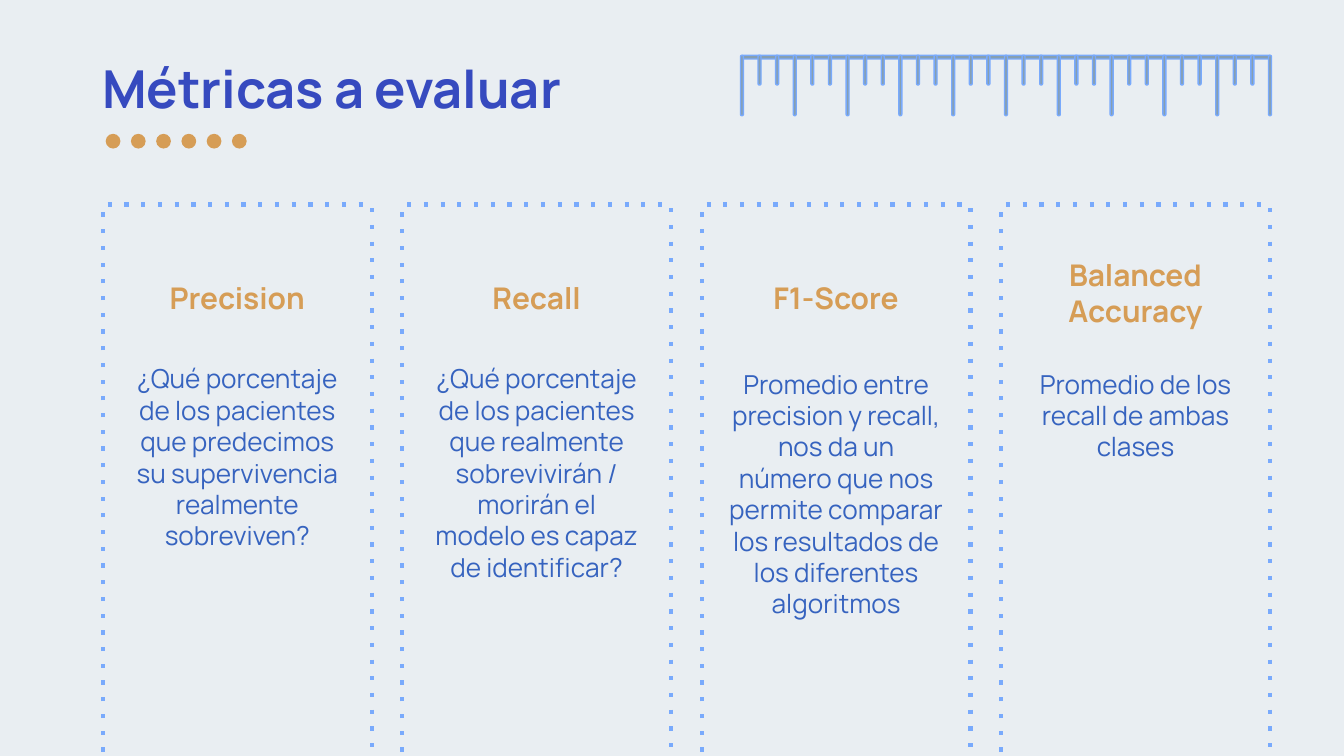
"""Build the "Métricas a evaluar" slide with four dotted metric cards."""
from dataclasses import dataclass

from pptx import Presentation
from pptx.dml.color import RGBColor
from pptx.enum.dml import MSO_LINE
from pptx.enum.shapes import MSO_SHAPE
from pptx.enum.text import MSO_ANCHOR, MSO_AUTO_SIZE, PP_ALIGN
from pptx.oxml.ns import qn
from pptx.util import Pt

RECT, OVAL, ROUNDED = MSO_SHAPE.RECTANGLE, MSO_SHAPE.OVAL, MSO_SHAPE.ROUNDED_RECTANGLE
LEFT, CENTER = PP_ALIGN.LEFT, PP_ALIGN.CENTER
TOP, NO_FIT, DOTTED = MSO_ANCHOR.TOP, MSO_AUTO_SIZE.NONE, MSO_LINE.ROUND_DOT


@dataclass(frozen=True)
class Theme:
    font: str = "Manrope"
    background: str = "E9EEF2"
    title: str = "364ABF"
    accent: str = "D69D56"
    body: str = "3663BF"
    outline: str = "79AAFC"
    ruler: str = "869FB1"
    title_size: float = 28
    heading_size: float = 16
    body_size: float = 14


theme = Theme()


def add_shape(shapes, kind, x, y, w, h, fill=None, line=None, weight=0.75):
    sp = shapes.add_shape(kind, Pt(x), Pt(y), Pt(w), Pt(h))
    sp.shadow.inherit = False
    if fill:
        sp.fill.solid()
        sp.fill.fore_color.rgb = RGBColor.from_string(fill)
    else:
        sp.fill.background()
    if line:
        sp.line.color.rgb = RGBColor.from_string(line)
        sp.line.width = Pt(weight)
    else:
        sp.line.fill.background()
    return sp


def write(sp, text, size, color, bold=False, align=CENTER):
    tf = sp.text_frame
    tf.word_wrap = True
    tf.auto_size = NO_FIT
    tf.vertical_anchor = TOP
    tf.margin_left = tf.margin_right = tf.margin_top = tf.margin_bottom = Pt(7.2)
    p = tf.paragraphs[0]
    p.alignment = align
    r = p.add_run()
    r.text = text
    r.font.name = theme.font
    r.font.size = Pt(size)
    r.font.bold = bold
    r.font.color.rgb = RGBColor.from_string(color)


prs = Presentation()
prs.slide_width, prs.slide_height = Pt(720), Pt(405)
s = prs.slides.add_slide(prs.slide_layouts[5])
s.background.fill.solid()
s.background.fill.fore_color.rgb = RGBColor.from_string(theme.background)

title = s.shapes.title
title.left, title.top, title.width, title.height = Pt(47.5), Pt(23), Pt(623.5), Pt(45.4)
write(title, "Métricas a evaluar", theme.title_size, theme.title, True, LEFT)

dots = s.shapes.add_group_shape()
for i in range(6):
    add_shape(dots.shapes, OVAL, 56.6 + 13.53 * i, 71.7, 7.9, 7.9, theme.accent)

ruler = s.shapes.add_group_shape()
bars = [(397.2, 283.6, 2)]
bars += [(396.7 + 9.43 * i, 1.6, 16 if i % 3 else 32.4) for i in range(31)]
for x, w, h in bars:
    sp = add_shape(ruler.shapes, ROUNDED, x, 29.6, w, h, theme.ruler, theme.outline)
    sp.adjustments[0] = 0.5

cards = [
    ("Precision", 142.6, 28.8, 187.2,
     "¿Qué porcentaje de los pacientes que predecimos su supervivencia realmente sobreviven?"),
    ("Recall", 142.6, 28.8, 187.2,
     "¿Qué porcentaje de los pacientes que realmente sobrevivirán / morirán el modelo es capaz "
     "de identificar?"),
    ("F1-Score", 142.6, 28.8, 190,
     "Promedio entre precision y recall, nos da un número que nos permite comparar los "
     "resultados de los diferentes algoritmos"),
    ("Balanced Accuracy", 130.3, 53.3, 190,
     "Promedio de los recall de ambas clases"),
]
for i, (heading, heading_y, heading_h, body_y, body) in enumerate(cards):
    x = 55.2 + 160.4 * i
    sp = add_shape(s.shapes, RECT, x, 109.6, 144, 301.7, line=theme.outline, weight=2.25)
    sp.line.dash_style = DOTTED
    sp._element.spPr.find(".//" + qn("a:prstDash")).set("val", "dot")
    box = s.shapes.add_textbox(Pt(x + 14.3), Pt(heading_y), Pt(115.2), Pt(heading_h))
    write(box, heading, theme.heading_size, theme.accent, True)
    box = s.shapes.add_textbox(Pt(x + 7.5), Pt(body_y), Pt(128.9), Pt(112.3))
    write(box, body, theme.body_size, theme.body)

prs.save("out.pptx")
